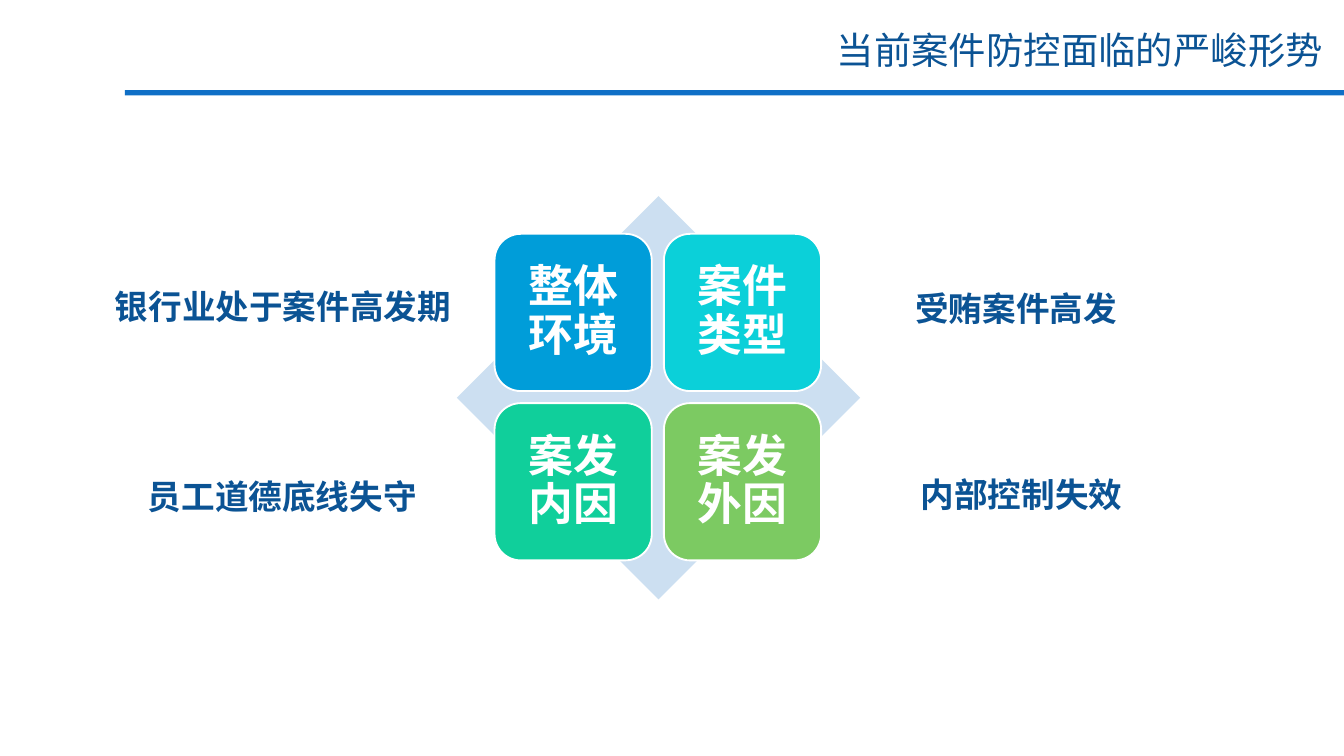
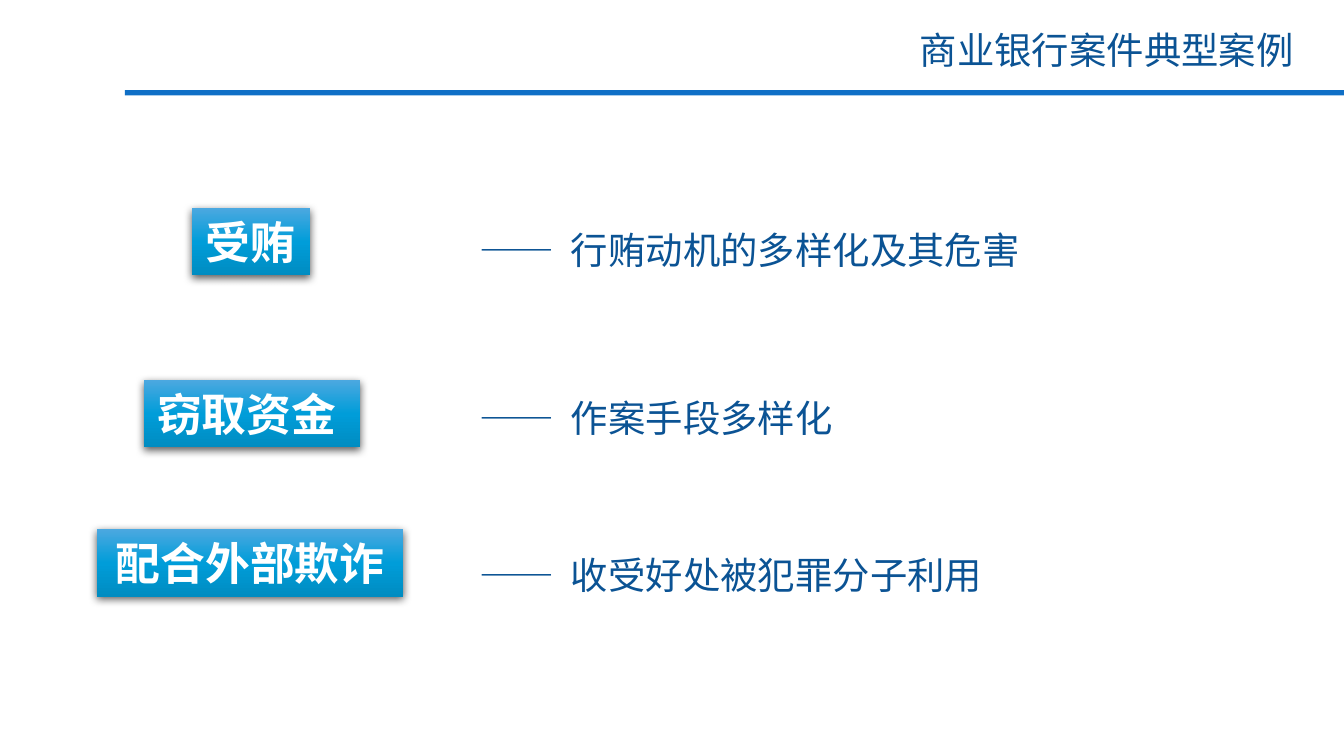
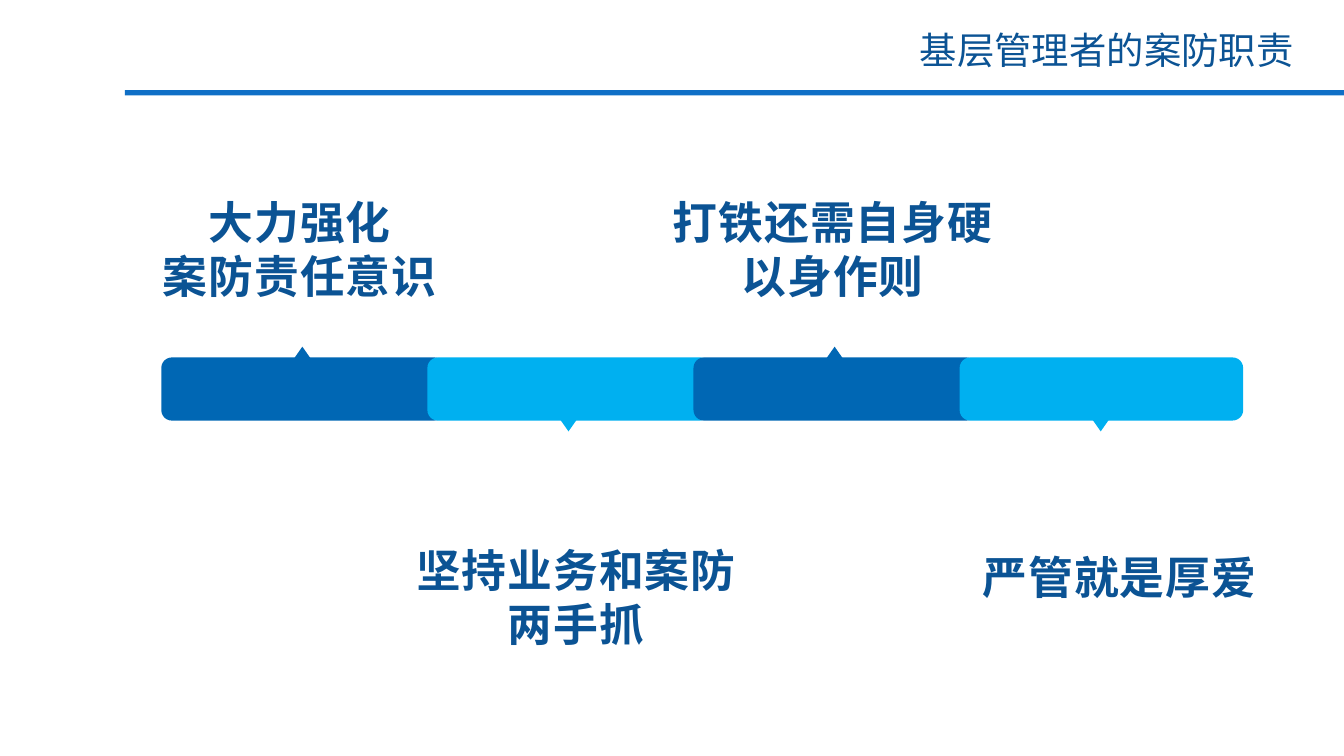
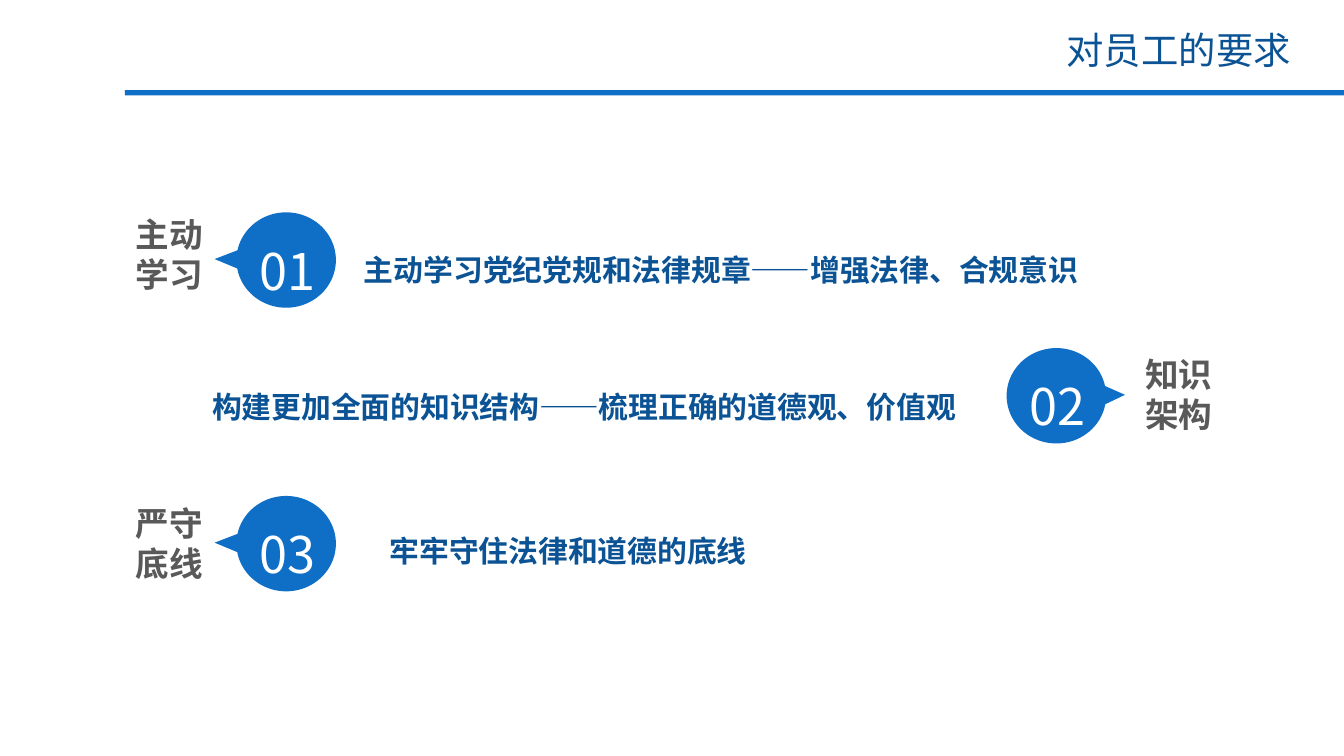
from copy import deepcopy

from lxml.etree import SubElement
from pptx import Presentation
from pptx.dml.color import RGBColor
from pptx.enum.shapes import MSO_SHAPE
from pptx.enum.text import MSO_ANCHOR, PP_ALIGN
from pptx.oxml.ns import qn
from pptx.util import Pt

# Shared look: 100 px to the inch, slides 16:9
EMU_PER_PX = 9144
SLIDE_WIDTH = 1000
FONT = "Noto Sans CJK SC"
NAVY, BLUE, WHITE, GREY = "0B5394", "0F6FC6", "FFFFFF", "595959"
BAR_BLUE, BAR_SKY = "0067B4", "00B0F0"
BUTTON_STOPS = [(0, "4BA8E0"), (0.5, "009DD9"), (1, "008CC1")]

CENTER = {"alignment": PP_ALIGN.CENTER}
LEFT = {"alignment": PP_ALIGN.LEFT}
BODY = {"alignment": PP_ALIGN.JUSTIFY, "line_spacing": 1.5}
TILE = {"alignment": PP_ALIGN.CENTER, "line_spacing": 0.9, "space_after": Pt(8)}


def px(value):
    return round(value * EMU_PER_PX)


def rgb(hex_string):
    return RGBColor.from_string(hex_string)


def set_attributes(target, values):
    for name, value in values.items():
        setattr(target, name, value)


# Text
def write(shape, text, size, color=NAVY, bold=False, layout=CENTER, spacing=0,
          inset=(10, 5), anchor=MSO_ANCHOR.TOP):
    frame = shape.text_frame
    across, down = map(px, inset)
    set_attributes(frame, {
        "text": text, "word_wrap": True, "vertical_anchor": anchor,
        "margin_left": across, "margin_right": across,
        "margin_top": down, "margin_bottom": down})
    for paragraph in frame.paragraphs:
        set_attributes(paragraph, layout)
        for run in paragraph.runs:
            set_attributes(run.font, {"name": FONT, "size": Pt(size), "bold": bold})
            run.font.color.rgb = rgb(color)
            properties = run.font._element
            SubElement(properties, qn("a:ea"), typeface=FONT)
            if spacing:
                properties.set("spc", str(round(spacing * 100)))


def add_text(slide, box, text, size, **options):
    shape = slide.shapes.add_textbox(*map(px, box))
    write(shape, text, size, **options)
    return shape


# Shapes
def add_block(slide, kind, box, fill, outline=None):
    shape = slide.shapes.add_shape(kind, *map(px, box))
    shape.shadow.inherit = False
    shape.fill.solid()
    shape.fill.fore_color.rgb = rgb(fill)
    if outline:
        shape.line.color.rgb = rgb(outline)
        shape.line.width = Pt(1)
    else:
        shape.line.fill.background()
    return shape


def add_button(slide, box, text, layout):
    shape = add_block(slide, MSO_SHAPE.RECTANGLE, box, BLUE)
    # Three-stop gradient from top to bottom
    shape.fill.gradient()
    shape.fill.gradient_angle = 270
    properties = shape._element.spPr
    stop_list = properties.find(".//" + qn("a:gsLst"))
    stop_list.append(deepcopy(stop_list[0]))
    for stop, (position, color) in zip(shape.fill.gradient_stops, BUTTON_STOPS):
        stop.position = position
        stop.color.rgb = rgb(color)
    # Soft shadow below
    shadow = SubElement(properties.find(qn("a:effectLst")), qn("a:outerShdw"),
                        blurRad="57150", dist="19050", dir="5400000", rotWithShape="0")
    black = SubElement(shadow, qn("a:srgbClr"), val="000000")
    SubElement(black, qn("a:alpha"), val="63000")
    write(shape, text, 24, color=WHITE, bold=True, layout=layout)


def add_dash_line(slide, box, text):
    shape = add_text(slide, box, "——\t" + text, 20, layout=LEFT)
    # The hanging indent is where the tab stops
    properties = shape.text_frame.paragraphs[0]._p.get_or_add_pPr()
    properties.set("marL", str(px(68)))
    properties.set("indent", str(px(-68)))


def add_titled_slide(presentation, title, left, width):
    slide = presentation.slides.add_slide(presentation.slide_layouts[6])
    add_block(slide, MSO_SHAPE.RECTANGLE, (93, 67, 908, 4), BLUE)
    add_text(slide, (left, 15, width, 77), title, 20)
    return slide


# Slides
def build_situation(presentation):
    slide = add_titled_slide(presentation, "当前案件防控面临的严峻形势", 611, 385)
    for box, label in [
        ((74, 208, 273, 40), "银行业处于案件高发期"),
        ((662, 209, 188, 40), "受贿案件高发"),
        ((91, 349, 238, 40), "员工道德底线失守"),
        ((674, 348, 172, 40), "内部控制失效"),
    ]:
        add_text(slide, box, label, 18, bold=True)

    add_block(slide, MSO_SHAPE.DIAMOND, (340, 146, 300, 300), "CCDFF1")
    tiles = [("整体环境", "009DD9"), ("案件类型", "0BD0D9"),
             ("案发内因", "10CF9B"), ("案发外因", "7CCA62")]
    for index, (text, color) in enumerate(tiles):
        row, column = divmod(index, 2)
        box = (368 + 126 * column, 174 + 126 * row, 117, 117)
        tile = add_block(slide, MSO_SHAPE.ROUNDED_RECTANGLE, box, color, WHITE)
        write(tile, text, 24, color=WHITE, bold=True, layout=TILE,
              inset=(10, 10), anchor=MSO_ANCHOR.MIDDLE)


def build_cases(presentation):
    slide = add_titled_slide(presentation, "商业银行案件典型案例", 673, 301)
    for button, layout, name, line, detail in [
        ((143, 155, 88, 50), LEFT, "受贿",
         (347, 164, 434, 44), "行贿动机的多样化及其危害"),
        ((107, 283, 161, 50), LEFT, "窃取资金",
         (347, 289, 294, 77), "作案手段多样化"),
        ((72, 394, 228, 50), CENTER, "配合外部欺诈",
         (347, 406, 406, 111), "收受好处被犯罪分子利用"),
    ]:
        add_button(slide, button, name, layout)
        add_dash_line(slide, line, detail)


def build_duties(presentation):
    slide = add_titled_slide(presentation, "基层管理者的案防职责", 673, 301)
    duties = [
        ((110, 140, 226, 91), "大力强化\n案防责任意识"),
        ((298, 399, 261, 91), "坚持业务和案防\n两手抓"),
        ((489, 140, 261, 91), "打铁还需自身硬\n以身作则"),
        ((720, 404, 226, 50), "严管就是厚爱"),
    ]
    for index, (box, text) in enumerate(duties):
        left = 120 + 198 * index
        points_down = index % 2 == 1
        color = BAR_SKY if points_down else BAR_BLUE
        add_block(slide, MSO_SHAPE.ROUNDED_RECTANGLE, (left, 266, 211, 47), color)
        pointer = add_block(slide, MSO_SHAPE.ISOSCELES_TRIANGLE,
                            (left + 98, 311 if points_down else 258, 14, 10), color)
        pointer.rotation = 180 if points_down else 0
        add_text(slide, box, text, 24, bold=True, spacing=0.5)


def build_requirements(presentation):
    slide = add_titled_slide(presentation, "对员工的要求", 783, 188)
    requirements = [
        (176, 158, (-0.72, -0.01), (94, 155), "主动\n学习",
         (261, 169, 619, 50), "主动学习党纪党规和法律规章——增强法律、合规意识"),
        (749, 259, (0.69, -0.01), (845, 259), "知识\n架构",
         (148, 271, 630, 50), "构建更加全面的知识结构——梳理正确的道德观、价值观"),
        (176, 369, (-0.72, -0.01), (94, 370), "严守\n底线",
         (280, 378, 630, 50), "牢牢守住法律和道德的底线"),
    ]
    for number, (left, top, tip, corner, name, box, text) in enumerate(requirements, 1):
        callout = add_block(slide, MSO_SHAPE.OVAL_CALLOUT, (left, top, 74, 71), BLUE)
        callout.adjustments[0], callout.adjustments[1] = tip
        add_text(slide, (left + 7, top - 7, 67, 78), f"{number:02}", 27,
                 color=WHITE, layout=BODY)
        add_text(slide, (*corner, 66, 68), name, 18, color=GREY, bold=True,
                 layout=LEFT, inset=(7, 4))
        add_text(slide, box, text, 16, bold=True, layout=BODY)


def main():
    presentation = Presentation()
    set_attributes(presentation, {"slide_width": px(SLIDE_WIDTH),
                                  "slide_height": px(SLIDE_WIDTH * 9 / 16)})
    for build in (build_situation, build_cases, build_duties, build_requirements):
        build(presentation)
    presentation.save("out.pptx")


if __name__ == "__main__":
    main()
